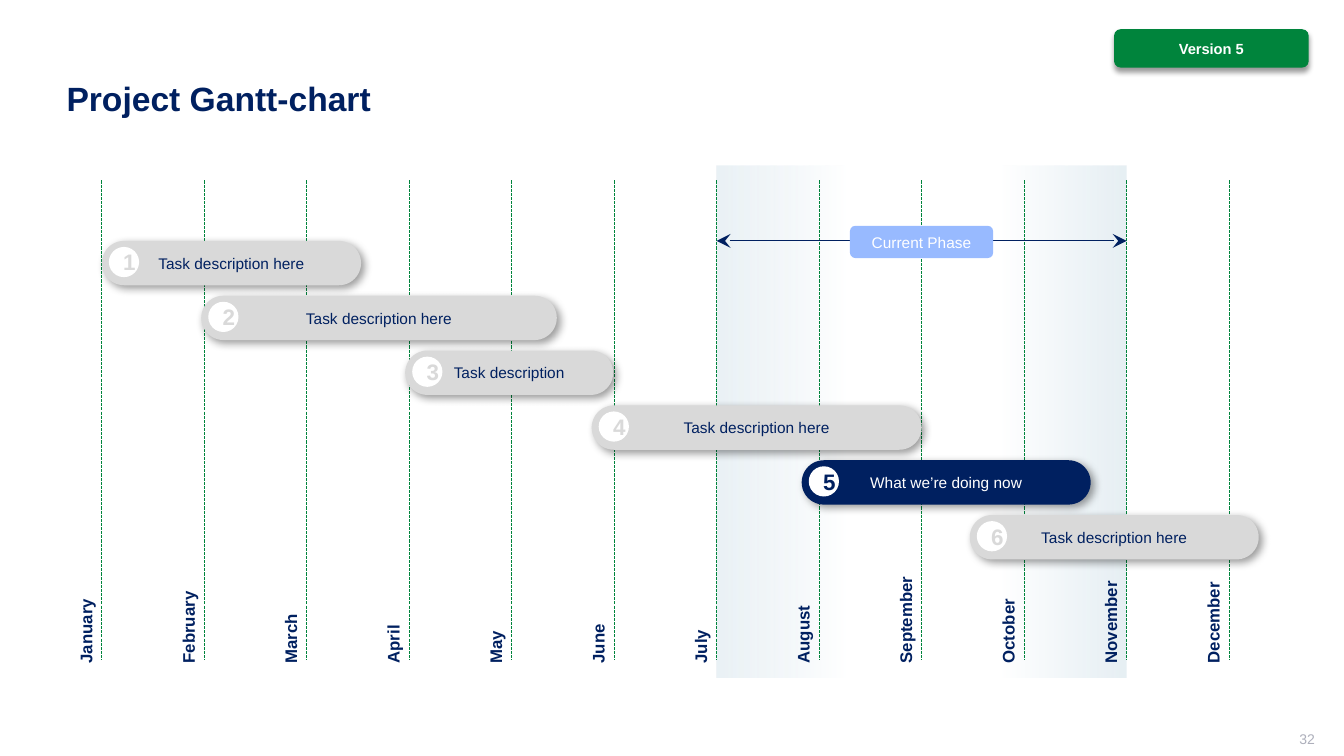
import lxml.etree
import pptx
import pptx.dml.color
import pptx.enum.dml
import pptx.enum.shapes
import pptx.enum.text
import pptx.oxml
import pptx.oxml.ns
import pptx.util

RGBColor = pptx.dml.color.RGBColor
Inches = pptx.util.Inches
Align = pptx.enum.text.PP_ALIGN
Anchor = pptx.enum.text.MSO_ANCHOR
Shape = pptx.enum.shapes.MSO_SHAPE

NAVY = RGBColor(0x00, 0x20, 0x60)
GREEN = RGBColor(0x00, 0x84, 0x3C)
GREY = RGBColor(0xD9, 0xD9, 0xD9)
SKY = RGBColor(0x98, 0xBA, 0xFF)
PALE = RGBColor(0xE5, 0xEE, 0xF3)
PAGE_GREY = RGBColor(0xAD, 0xAF, 0xBB)
WHITE = RGBColor(0xFF, 0xFF, 0xFF)

# Grid: one column a month, one row a task
GRID_LEFT = 1.01
MONTH_STEP = (12.19 - GRID_LEFT) / 11
GRID_TOP, GRID_BOTTOM = 1.79, 6.55
ROW_TOP = 2.39
ROW_STEP = (5.11 - ROW_TOP) / 5
BAR_HEIGHT = 0.44
BADGE_SIZE = 0.3
LABEL_BOTTOM = 6.68
LABEL_HEIGHT = 0.3

MONTHS = ["January", "February", "March", "April", "May", "June", "July",
          "August", "September", "October", "November", "December"]
PHASE_START, PHASE_END = 6, 10

# Text, start and duration in months, whether it is the current task
TASKS = [
    ("Task description here", 0, 2.53, False),
    ("Task description here", 0.97, 3.47, False),
    ("Task description", 2.96, 2.03, False),
    ("Task description here", 4.78, 3.22, False),
    ("What we’re doing now", 6.83, 2.82, True),
    ("Task description here", 8.47, 2.82, False),
]


def month_x(month):
    return GRID_LEFT + month * MONTH_STEP


def write_text(shape, text, size, color, bold=False, align=Align.LEFT, anchor=Anchor.MIDDLE):
    shape.text_frame.text = text
    shape.text_frame.word_wrap = True
    shape.text_frame.vertical_anchor = anchor
    paragraph = shape.text_frame.paragraphs[0]
    paragraph.alignment = align
    paragraph.font.name = "Arial"
    paragraph.font.size = pptx.util.Pt(size)
    paragraph.font.bold = bold
    paragraph.font.color.rgb = color
    return paragraph


def add_filled(slide, kind, left, top, width, height, color):
    shape = slide.shapes.add_shape(
        kind, Inches(left), Inches(top), Inches(width), Inches(height))
    shape.shadow.inherit = False
    shape.fill.solid()
    shape.fill.fore_color.rgb = color
    shape.line.fill.background()
    return shape


def add_shadow(shape, alpha, blur, angle):
    """Cast a black shadow 3 pt away; alpha in percent, blur in points."""
    effects = shape.element.spPr.find(pptx.oxml.ns.qn("a:effectLst"))
    effects.append(pptx.oxml.parse_xml(
        f'<a:outerShdw {pptx.oxml.ns.nsdecls("a")} blurRad="{pptx.util.Pt(blur)}" '
        f'dist="{pptx.util.Pt(3)}" dir="{angle * 60000}" algn="t" rotWithShape="0">'
        f'<a:srgbClr val="000000"><a:alpha val="{alpha * 1000}"/></a:srgbClr></a:outerShdw>'))


def add_line(slide, start, end, color):
    line = slide.shapes.add_connector(
        pptx.enum.shapes.MSO_CONNECTOR.STRAIGHT, *map(Inches, start + end))
    line.line.color.rgb = color
    line.line.width = pptx.util.Pt(0.75)
    lxml.etree.SubElement(line.element.spPr, pptx.oxml.ns.qn("a:effectLst"))
    return line


def add_phase_band(slide):
    left = month_x(PHASE_START)
    band = add_filled(slide, Shape.RECTANGLE, left, 1.64,
                      month_x(PHASE_END) - left, 5.08, PALE)
    stops = "".join(
        f'<a:gs pos="{position * 1000}"><a:srgbClr val="{color}">'
        f'<a:alpha val="{alpha * 1000}"/></a:srgbClr></a:gs>'
        for position, color, alpha in
        [(1, PALE, 93), (31, WHITE, 100), (68, WHITE, 100), (100, PALE, 81)])
    properties = band.element.spPr
    properties.replace(
        properties.find(pptx.oxml.ns.qn("a:solidFill")),
        pptx.oxml.parse_xml(
            f'<a:gradFill {pptx.oxml.ns.nsdecls("a")} rotWithShape="1"><a:gsLst>{stops}'
            '</a:gsLst><a:lin ang="10800000" scaled="0"/></a:gradFill>'))


def add_month(slide, month, name):
    x = month_x(month)
    line = add_line(slide, (x, GRID_TOP), (x, GRID_BOTTOM), GREEN)
    line.line.dash_style = pptx.enum.dml.MSO_LINE.SQUARE_DOT
    length = 1.26 if name == "September" else 1.07
    label = slide.shapes.add_textbox(
        Inches(x - 0.16 - length / 2), Inches(LABEL_BOTTOM - (length + LABEL_HEIGHT) / 2),
        Inches(length), Inches(LABEL_HEIGHT))
    label.rotation = 270
    write_text(label, name, 12, NAVY, bold=True, anchor=Anchor.TOP)


def add_task(slide, row, text, start, duration, current):
    left, top = month_x(start), ROW_TOP + row * ROW_STEP
    bar_color, text_color = (NAVY, WHITE) if current else (GREY, NAVY)
    bar = add_filled(slide, Shape.ROUNDED_RECTANGLE, left, top,
                     duration * MONTH_STEP, BAR_HEIGHT, bar_color)
    bar.adjustments[0] = 0.5
    add_shadow(bar, 39, 6, 45)
    write_text(bar, text, 11, text_color, align=Align.CENTER)
    badge = add_filled(slide, Shape.OVAL, left + 0.07, top + 0.06,
                       BADGE_SIZE, BADGE_SIZE, WHITE)
    write_text(badge, str(row + 1), 16, bar_color, bold=True, align=Align.CENTER)


def add_phase_marker(slide):
    arrow = add_line(slide, (month_x(PHASE_START), ROW_TOP),
                     (month_x(PHASE_END), ROW_TOP), NAVY)
    outline = arrow.element.spPr.find(pptx.oxml.ns.qn("a:ln"))
    for end in ("a:headEnd", "a:tailEnd"):
        lxml.etree.SubElement(outline, pptx.oxml.ns.qn(end), type="stealth", w="lg", len="lg")
    tag = add_filled(slide, Shape.ROUNDED_RECTANGLE, 8.43, 2.24, 1.42, 0.32, SKY)
    write_text(tag, "Current Phase", 11, WHITE, align=Align.CENTER)


def add_title(slide):
    title = slide.shapes.title
    title.left, title.top, title.width, title.height = map(Inches, (0.56, 0.4, 12.11, 1.19))
    write_text(title, "Project Gantt-chart", 24, NAVY, bold=True).line_spacing = 0.9


def add_page_number(slide):
    number = slide.shapes.add_textbox(Inches(10.04), Inches(7.25), Inches(3), Inches(0.21))
    frame = number.text_frame
    frame.margin_top, frame.margin_right, frame.margin_bottom = 0, 0, Inches(0.05)
    write_text(number, "32", 10, PAGE_GREY, align=Align.RIGHT)


def add_version(slide):
    version = add_filled(slide, Shape.ROUNDED_RECTANGLE, 11.05, 0.29, 1.93, 0.38, GREEN)
    add_shadow(version, 40, 4, 90)
    write_text(version, "Version 5", 10.5, WHITE, bold=True, align=Align.CENTER)


def main():
    presentation = pptx.Presentation()
    presentation.slide_width, presentation.slide_height = Inches(13.33), Inches(7.5)
    slide = presentation.slides.add_slide(presentation.slide_layouts[5])
    add_title(slide)
    add_page_number(slide)
    add_phase_band(slide)
    for month, name in enumerate(MONTHS):
        add_month(slide, month, name)
    for row, task in enumerate(TASKS):
        add_task(slide, row, *task)
    add_phase_marker(slide)
    add_version(slide)
    presentation.save("out.pptx")


if __name__ == "__main__":
    main()
